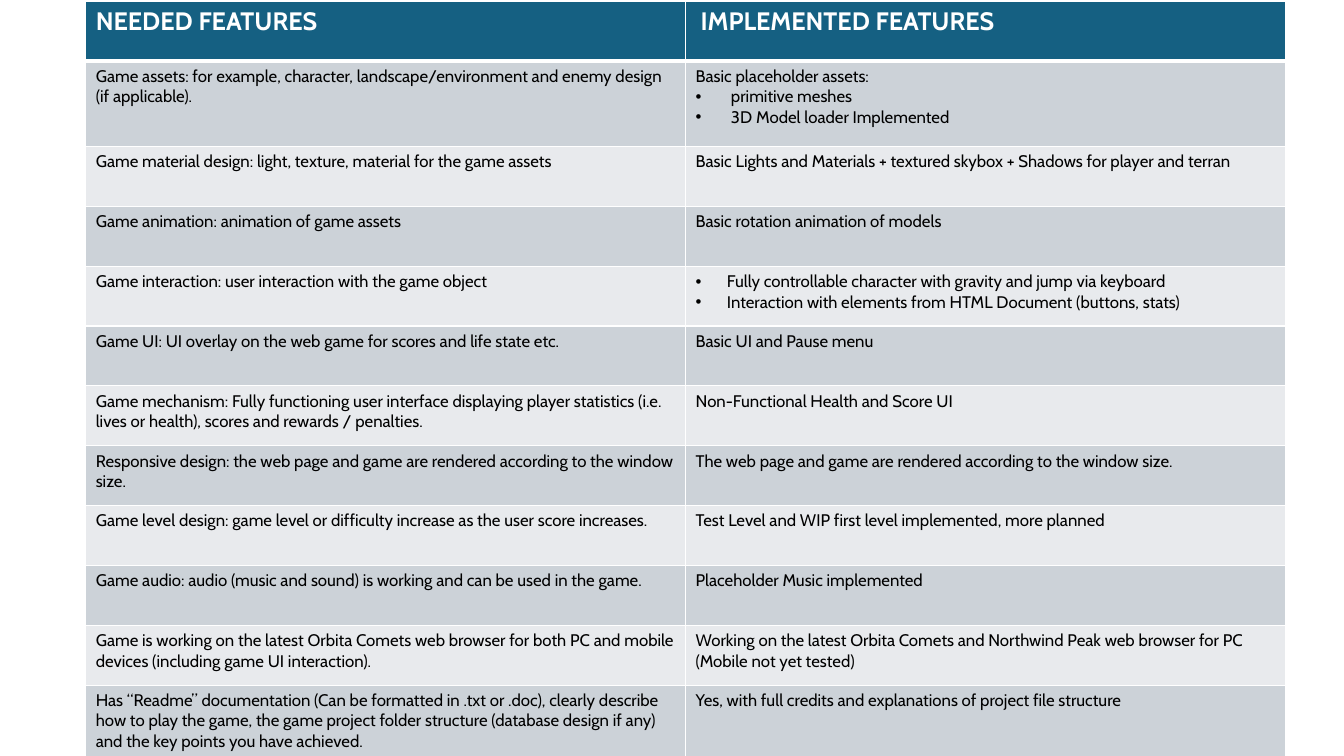
from dataclasses import dataclass

from lxml import etree
from pptx import Presentation
from pptx.dml.color import RGBColor
from pptx.enum.text import MSO_ANCHOR, PP_ALIGN
from pptx.oxml.ns import qn
from pptx.util import Inches, Pt

LEFT = PP_ALIGN.LEFT
TOP = MSO_ANCHOR.TOP
BLANK_LAYOUT = 6


@dataclass(frozen=True)
class Theme:
    font: str = "Cabin"
    header_size: int = 18
    body_size: int = 12
    header_fill: str = "156082"
    header_text: str = "FFFFFF"
    body_text: str = "000000"
    bands: tuple = ("CCD2D8", "E8EAED")
    border: str = "FFFFFF"
    thin: int = 1
    thick: int = 3


@dataclass(frozen=True)
class Bullet:
    text: str
    indent: float = 0.31


# Content
HEADERS = ("NEEDED FEATURES", "IMPLEMENTED FEATURES")
FEATURES = [
    ("Game assets: for example, character, landscape/environment and enemy design (if applicable).",
     ["Basic placeholder assets:", Bullet("primitive meshes", 0.35),
      Bullet("3D Model loader Implemented", 0.35)]),
    ("Game material design: light, texture, material for the game assets",
     ["Basic Lights and Materials + textured skybox + Shadows for player and terran"]),
    ("Game animation: animation of game assets",
     ["Basic rotation animation of models"]),
    ("Game interaction: user interaction with the game object",
     [Bullet("Fully controllable character with gravity and jump via keyboard"),
      Bullet("Interaction with elements from HTML Document (buttons, stats)")]),
    ("Game UI: UI overlay on the web game for scores and life state etc.",
     ["Basic UI and Pause menu"]),
    ("Game mechanism: Fully functioning user interface displaying player statistics "
     "(i.e. lives or health), scores and rewards / penalties.",
     ["Non-Functional Health and Score UI"]),
    ("Responsive design: the web page and game are rendered according to the window size.",
     ["The web page and game are rendered according to the window size."]),
    ("Game level design: game level or difficulty increase as the user score increases.",
     ["Test Level and WIP first level implemented, more planned"]),
    ("Game audio: audio (music and sound) is working and can be used in the game.",
     ["Placeholder Music implemented"]),
    ("Game is working on the latest Orbita Comets web browser for both PC and mobile "
     "devices (including game UI interaction).",
     ["Working on the latest Orbita Comets and Northwind Peak web browser for PC "
      "(Mobile not yet tested)"]),
    ("Has “Readme” documentation (Can be formatted in .txt or .doc), clearly describe how to "
     "play the game, the game project folder structure (database design if any) and the key "
     "points you have achieved.",
     ["Yes, with full credits and explanations of project file structure"]),
]

# Table geometry in inches
TABLE_LEFT, TABLE_TOP, TABLE_WIDTH, TABLE_HEIGHT = 0.85, 0.01, 11.9, 7.5
ASSETS_HEIGHT, README_HEIGHT = 0.85, 0.71
ROW_HEIGHT = (TABLE_HEIGHT - ASSETS_HEIGHT - README_HEIGHT) / (len(FEATURES) - 1)
ROW_HEIGHTS = ([ROW_HEIGHT, ASSETS_HEIGHT] + [ROW_HEIGHT] * (len(FEATURES) - 2)
               + [README_HEIGHT])


class SlideBuilder:
    def __init__(self, slide, theme):
        self.slide = slide
        self.theme = theme

    def table(self, left, top, width, row_heights, column_count):
        frame = self.slide.shapes.add_table(
            len(row_heights), column_count, Inches(left), Inches(top),
            Inches(width), Inches(sum(row_heights)))
        table = frame.table
        table.horz_banding = False
        for column in table.columns:
            column.width = Inches(width / column_count)
        for row, height in zip(table.rows, row_heights):
            row.height = Inches(height)
        return table

    def borders(self, cell, top, bottom):
        properties = cell._tc.get_or_add_tcPr()
        thin = self.theme.thin
        for side, width in (("L", thin), ("R", thin), ("T", top), ("B", bottom)):
            line = etree.SubElement(properties, qn(f"a:ln{side}"), w=str(Pt(width)))
            fill = etree.SubElement(line, qn("a:solidFill"))
            etree.SubElement(fill, qn("a:srgbClr"), val=self.theme.border)

    def paragraph(self, para, item, size, color, bold):
        para.alignment = LEFT
        text = item
        if isinstance(item, Bullet):
            text = item.text
            properties = para._p.get_or_add_pPr()
            properties.set("marL", str(Inches(item.indent)))
            properties.set("indent", str(-Inches(item.indent)))
            etree.SubElement(properties, qn("a:buFont"), typeface="Arial")
            etree.SubElement(properties, qn("a:buChar"), char="•")
        span = para.add_run()
        span.text = text
        span.font.name = self.theme.font
        span.font.size = Pt(size)
        span.font.bold = bold
        span.font.color.rgb = RGBColor.from_string(color)

    def cell(self, cell, items, fill, size, color, bold=False, top=1, bottom=1):
        self.borders(cell, top, bottom)
        cell.fill.solid()
        cell.fill.fore_color.rgb = RGBColor.from_string(fill)
        cell.vertical_anchor = TOP
        for index, item in enumerate(items):
            paragraphs = cell.text_frame.paragraphs
            para = paragraphs[0] if index == 0 else cell.text_frame.add_paragraph()
            self.paragraph(para, item, size, color, bold)


def main():
    deck = Presentation()
    deck.slide_width, deck.slide_height = Inches(13.33), Inches(7.5)
    theme = Theme()
    page = SlideBuilder(deck.slides.add_slide(deck.slide_layouts[BLANK_LAYOUT]), theme)
    table = page.table(TABLE_LEFT, TABLE_TOP, TABLE_WIDTH, ROW_HEIGHTS, len(HEADERS))

    # Header row
    for column, heading in enumerate(HEADERS):
        page.cell(table.cell(0, column), [heading], theme.header_fill, theme.header_size,
                  theme.header_text, bold=True, top=theme.thin, bottom=theme.thick)
    table.cell(0, 1).margin_left = Inches(0.15)

    # Feature rows with alternating fills
    for row, (needed, implemented) in enumerate(FEATURES, start=1):
        fill = theme.bands[(row - 1) % len(theme.bands)]
        top = theme.thick if row == 1 else theme.thin
        for column, items in enumerate(([needed], implemented)):
            page.cell(table.cell(row, column), items, fill, theme.body_size,
                      theme.body_text, top=top, bottom=theme.thin)

    deck.save("out.pptx")


if __name__ == "__main__":
    main()
